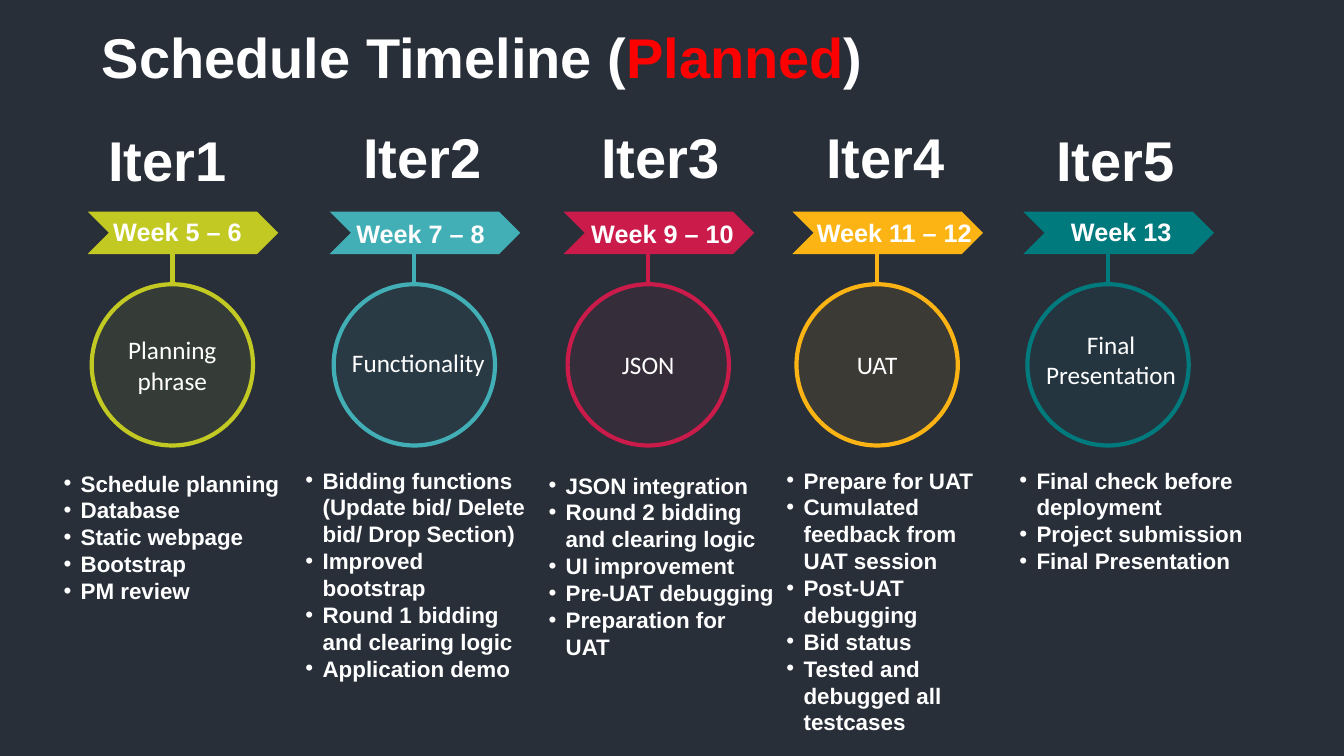
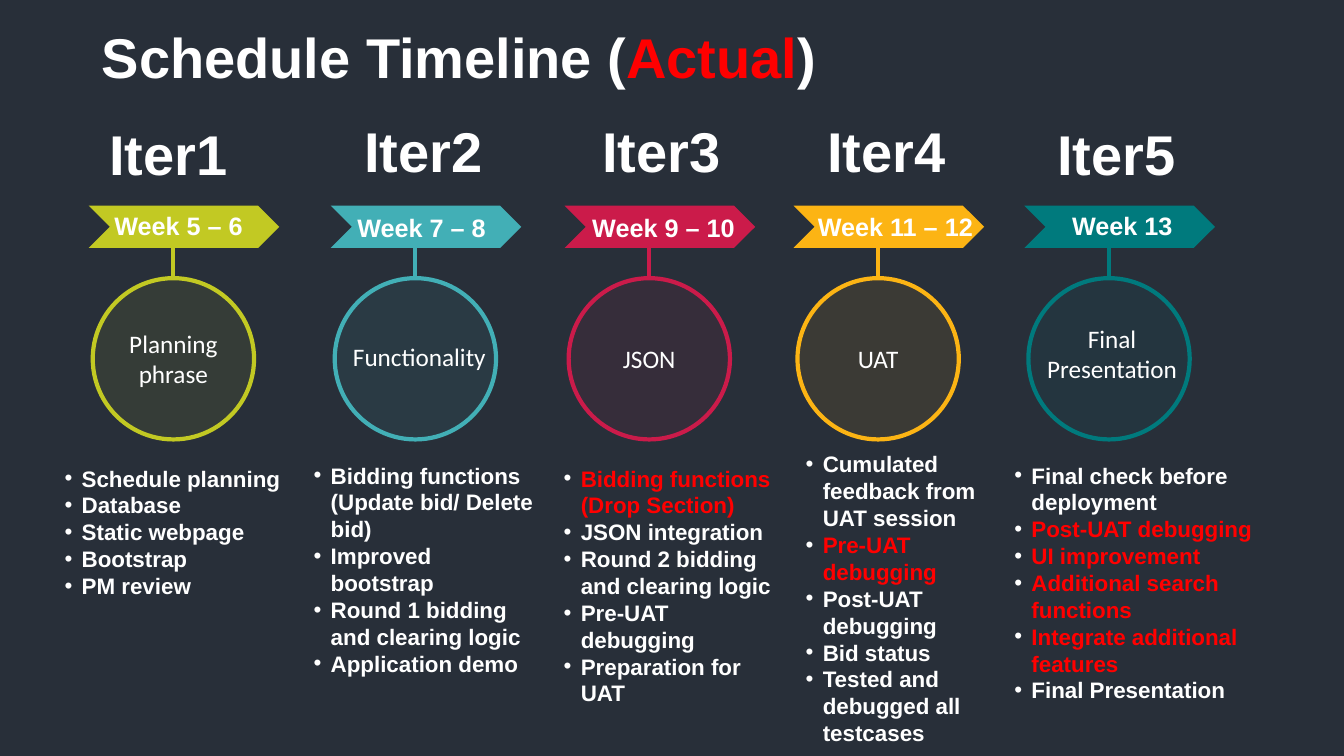
from copy import deepcopy
from dataclasses import dataclass

from lxml import etree
from pptx import Presentation
from pptx import util as u
from pptx.dml.color import RGBColor
from pptx.enum import shapes, text
from pptx.oxml.ns import qn


@dataclass(frozen=True)
class Theme:
    """Colours, fonts and type sizes of the deck."""

    ground: str = "282F39"
    ink: str = "FFFFFF"
    accent: str = "FF0000"
    heading_font: str = "Arial"
    caption_font: str = "Calibri"
    heading_size: int = 40
    label_size: int = 18
    list_size: int = 16
    line_width: int = 3


@dataclass(frozen=True)
class Iteration:
    """One timeline column; a caption outside its circle has its own place."""

    name: str
    week: str
    caption: tuple
    colour: str
    left: float
    name_center: float
    name_top: float
    week_center: float
    week_top: float
    caption_place: tuple = ()


@dataclass(frozen=True)
class Item:
    """One list line."""

    words: str
    changed: bool = False
    bullet: bool = True


@dataclass(frozen=True)
class Tasks:
    """The task list below one column."""

    left: float
    top: float
    width: float
    items: tuple


THEME = Theme()
CENTER = text.PP_ALIGN.CENTER
LEFT = text.PP_ALIGN.LEFT
CHEVRON_TOP, CHEVRON_WIDTH, CHEVRON_HEIGHT = 2.1, 1.89, 0.42
CIRCLE_TOP, CIRCLE_SIZE, CIRCLE_OFFSET = 2.82, 1.6, 0.04
NAME_WIDTH, NAME_HEIGHT, CAPTION_HEIGHT = 1.69, 0.77, 0.4
LIST_BOTTOM, LIST_INDENT, BULLET_INDENT = 7.45, 0.19, 0.17

ITERATIONS = (
    Iteration("Iter1", "Week 5 – 6", ("Planning", "phrase"), "C2C923",
              0.87, 1.66, 1.2, 1.76, 2.1),
    Iteration("Iter2", "Week 7 – 8", ("Functionality",), "42AFB6",
              3.27, 4.19, 1.17, 4.17, 2.12, (3.35, 3.4)),
    Iteration("Iter3", "Week 9 – 10", ("JSON",), "CB1B4A",
              5.59, 6.55, 1.17, 6.57, 2.12),
    Iteration("Iter4", "Week 11 – 12", ("UAT",), "FCB414",
              7.86, 8.78, 1.17, 8.87, 2.11),
    Iteration("Iter5", "Week 13", ("Final Presentation",), "007A7D",
              10.15, 11.06, 1.2, 11.12, 2.1, (10.22, 3.22)),
)

PLANNING = (Item("Schedule planning"), Item("Database"), Item("Static webpage"),
            Item("Bootstrap"), Item("PM review"))
BOOTSTRAP = (Item("Improved bootstrap"), Item("Round 1 bidding and clearing logic"),
             Item("Application demo"))
JSON_WORK = (Item("JSON integration"), Item("Round 2 bidding and clearing logic"))
FEEDBACK = Item("Cumulated feedback from UAT session")
UAT_WORK = (Item("Post-UAT debugging"), Item("Bid status"),
            Item("Tested and debugged all testcases"))
PREPARATION = (Item("Pre-UAT debugging"), Item("Preparation for UAT"))
FINAL_CHECK = Item("Final check before deployment")
FINAL_TALK = Item("Final Presentation")

PLANNED = (
    Tasks(0.51, 4.61, 2.44, PLANNING),
    Tasks(2.91, 4.58, 2.44, (
        Item("Bidding functions"),
        Item("(Update bid/ Delete bid/ Drop Section)", bullet=False), *BOOTSTRAP)),
    Tasks(5.32, 4.63, 2.47, (*JSON_WORK, Item("UI improvement"), *PREPARATION)),
    Tasks(7.68, 4.58, 2.3, (Item("Prepare for UAT"), FEEDBACK, *UAT_WORK)),
    Tasks(9.99, 4.58, 2.44, (FINAL_CHECK, Item("Project submission"), FINAL_TALK)),
)

ACTUAL = (
    Tasks(0.52, 4.56, 2.44, PLANNING),
    Tasks(2.99, 4.53, 2.44, (
        Item("Bidding functions"),
        Item("(Update bid/ Delete bid)", bullet=False), *BOOTSTRAP)),
    Tasks(5.47, 4.56, 2.3, (
        Item("Bidding functions", changed=True),
        Item("(Drop Section)", changed=True, bullet=False), *JSON_WORK, *PREPARATION)),
    Tasks(7.87, 4.42, 2.21, (
        FEEDBACK, Item("Pre-UAT debugging", changed=True), *UAT_WORK)),
    Tasks(9.94, 4.53, 2.72, (
        FINAL_CHECK,
        *(Item(words, changed=True) for words in (
            "Post-UAT debugging", "UI improvement",
            "Additional search functions", "Integrate additional features")),
        FINAL_TALK)),
)


def rgb(colour):
    """Turn a hex string into a colour."""
    return RGBColor.from_string(colour)


def place(shape, left, top, width, height):
    """Move and size a shape in inches."""
    shape.left, shape.top = u.Inches(left), u.Inches(top)
    shape.width, shape.height = u.Inches(width), u.Inches(height)


def style(para, size, font=THEME.heading_font, bold=True, colour=THEME.ink, align=CENTER):
    """Format a whole paragraph."""
    para.alignment = align
    para.space_before = u.Pt(0)
    para.font.name, para.font.size, para.font.bold = font, u.Pt(size), bold
    para.font.color.rgb = rgb(colour)


def prepare_frame(shape, anchor=text.MSO_ANCHOR.TOP):
    """Give a shape wrapped text of fixed size."""
    frame = shape.text_frame
    frame.word_wrap = True
    frame.auto_size = text.MSO_AUTO_SIZE.NONE
    frame.vertical_anchor = anchor
    return frame


def write_lines(frame, lines, size, **look):
    """Write one styled paragraph per line."""
    for index, line in enumerate(lines):
        para = frame.paragraphs[0] if index == 0 else frame.add_paragraph()
        para.text = line
        style(para, size, **look)


def add_label(page, lines, left, top, width, height, size, **look):
    """Add a centred text box."""
    box = page.shapes.add_textbox(*map(u.Inches, (left, top, width, height)))
    write_lines(prepare_frame(box), lines, size, **look)


def add_preset(page, kind, left, top, width, height, colour):
    """Add a filled preset shape without line or shadow."""
    shape = page.shapes.add_shape(kind, *map(u.Inches, (left, top, width, height)))
    shape.shadow.inherit = False
    shape.fill.solid()
    shape.fill.fore_color.rgb = rgb(colour)
    shape.line.fill.background()
    return shape


def add_circle(page, left, top, colour):
    """Add an outlined circle with a faint fill."""
    circle = add_preset(page, shapes.MSO_SHAPE.OVAL, left, top,
                        CIRCLE_SIZE, CIRCLE_SIZE, colour)
    tint = circle._element.spPr.find(qn("a:solidFill")).find(qn("a:srgbClr"))
    etree.SubElement(tint, qn("a:alpha"), val="9000")
    circle.line.color.rgb = rgb(colour)
    circle.line.width = u.Pt(THEME.line_width)
    return circle


def add_stem(page, x, top, bottom, colour):
    """Add the vertical line that joins a chevron to its circle."""
    stem = page.shapes.add_connector(
        shapes.MSO_CONNECTOR.STRAIGHT, *map(u.Inches, (x, top, x, bottom)))
    stem.line.color.rgb = rgb(colour)
    stem.line.width = u.Pt(THEME.line_width)
    etree.SubElement(stem._element.spPr, qn("a:effectLst"))


def add_iteration(page, step, dx, dy):
    """Draw one timeline column, moved by dx and dy."""
    left, top = step.left + dx, CHEVRON_TOP + dy
    circle_left, circle_top = left + CIRCLE_OFFSET, CIRCLE_TOP + dy
    caption_look = {"font": THEME.caption_font, "bold": False}
    add_preset(page, shapes.MSO_SHAPE.CHEVRON, left, top,
               CHEVRON_WIDTH, CHEVRON_HEIGHT, step.colour)
    add_stem(page, circle_left + CIRCLE_SIZE / 2, top + CHEVRON_HEIGHT,
             circle_top, step.colour)
    circle = add_circle(page, circle_left, circle_top, step.colour)
    if step.caption_place:
        caption_left, caption_top = step.caption_place
        add_label(page, step.caption, caption_left + dx, caption_top + dy,
                  CIRCLE_SIZE, CAPTION_HEIGHT, THEME.label_size, **caption_look)
    else:
        write_lines(prepare_frame(circle, text.MSO_ANCHOR.MIDDLE),
                    step.caption, THEME.label_size, **caption_look)
    add_label(page, [step.name], step.name_center - NAME_WIDTH / 2 + dx,
              step.name_top + dy, NAME_WIDTH, NAME_HEIGHT, THEME.heading_size)
    add_label(page, [step.week], step.week_center - CHEVRON_WIDTH / 2 + dx,
              step.week_top + dy, CHEVRON_WIDTH, CHEVRON_HEIGHT, THEME.label_size)


def set_bullet(para, bullet):
    """Set the hanging indent and the white bullet, if any."""
    props = para._p.get_or_add_pPr()
    props.set("marL", str(u.Inches(LIST_INDENT)))
    props.set("indent", str(-u.Inches(BULLET_INDENT) if bullet else 0))
    if bullet:
        colour = etree.SubElement(props, qn("a:buClr"))
        etree.SubElement(colour, qn("a:srgbClr"), val=THEME.ink)
        etree.SubElement(props, qn("a:buFont"), typeface=THEME.heading_font)
        etree.SubElement(props, qn("a:buChar"), char="•")
    else:
        etree.SubElement(props, qn("a:buNone"))


def fill_list(body, tasks):
    """Place and fill a task list, changed items in the accent colour."""
    place(body, tasks.left, tasks.top, tasks.width, LIST_BOTTOM - tasks.top)
    frame = prepare_frame(body)
    for index, item in enumerate(tasks.items):
        para = frame.paragraphs[0] if index == 0 else frame.add_paragraph()
        para.text = item.words
        set_bullet(para, item.bullet)
        style(para, THEME.list_size, align=LEFT,
              colour=THEME.accent if item.changed else THEME.ink)


def fill_title(title, status):
    """Write the title with its status in the accent colour."""
    para = prepare_frame(title).paragraphs[0]
    style(para, THEME.heading_size, align=LEFT)
    for words in ("Schedule Timeline (", status, ")"):
        span = para.add_run()
        span.text = words
        if words == status:
            span.font.color.rgb = rgb(THEME.accent)


def prepare_layout(deck):
    """Give the content layout one body per column and the shared title place."""
    background = deck.slide_master.background.fill
    background.solid()
    background.fore_color.rgb = rgb(THEME.ground)
    layout = deck.slide_layouts[1]
    title, body = list(layout.placeholders)[:2]
    place(title, 0.91, 0.17, 10.58, 0.94)
    place(body, PLANNED[0].left, PLANNED[0].top, PLANNED[0].width, 2.8)
    for number, tasks in enumerate(PLANNED[1:], start=20):
        extra = deepcopy(body._element)
        extra.xpath(".//p:ph")[0].set("idx", str(number))
        extra.xpath(".//p:cNvPr")[0].set("id", str(number))
        extra.xpath(".//a:off")[0].set("x", str(u.Inches(tasks.left)))
        layout.shapes._spTree.append(extra)
    return layout


def add_timeline(deck, layout, status, lists, dx=0, dy=0):
    """Add one timeline slide."""
    page = deck.slides.add_slide(layout)
    title, *bodies = page.placeholders
    fill_title(title, status)
    for step in ITERATIONS:
        add_iteration(page, step, dx, dy)
    for body, tasks in zip(bodies, lists):
        fill_list(body, tasks)


def main():
    """Build and save the deck."""
    deck = Presentation()
    deck.slide_width, deck.slide_height = u.Inches(13.33), u.Inches(7.5)
    layout = prepare_layout(deck)
    add_timeline(deck, layout, "Planned", PLANNED)
    add_timeline(deck, layout, "Actual", ACTUAL, dx=0.01, dy=-0.06)
    deck.save("out.pptx")


if __name__ == "__main__":
    main()
